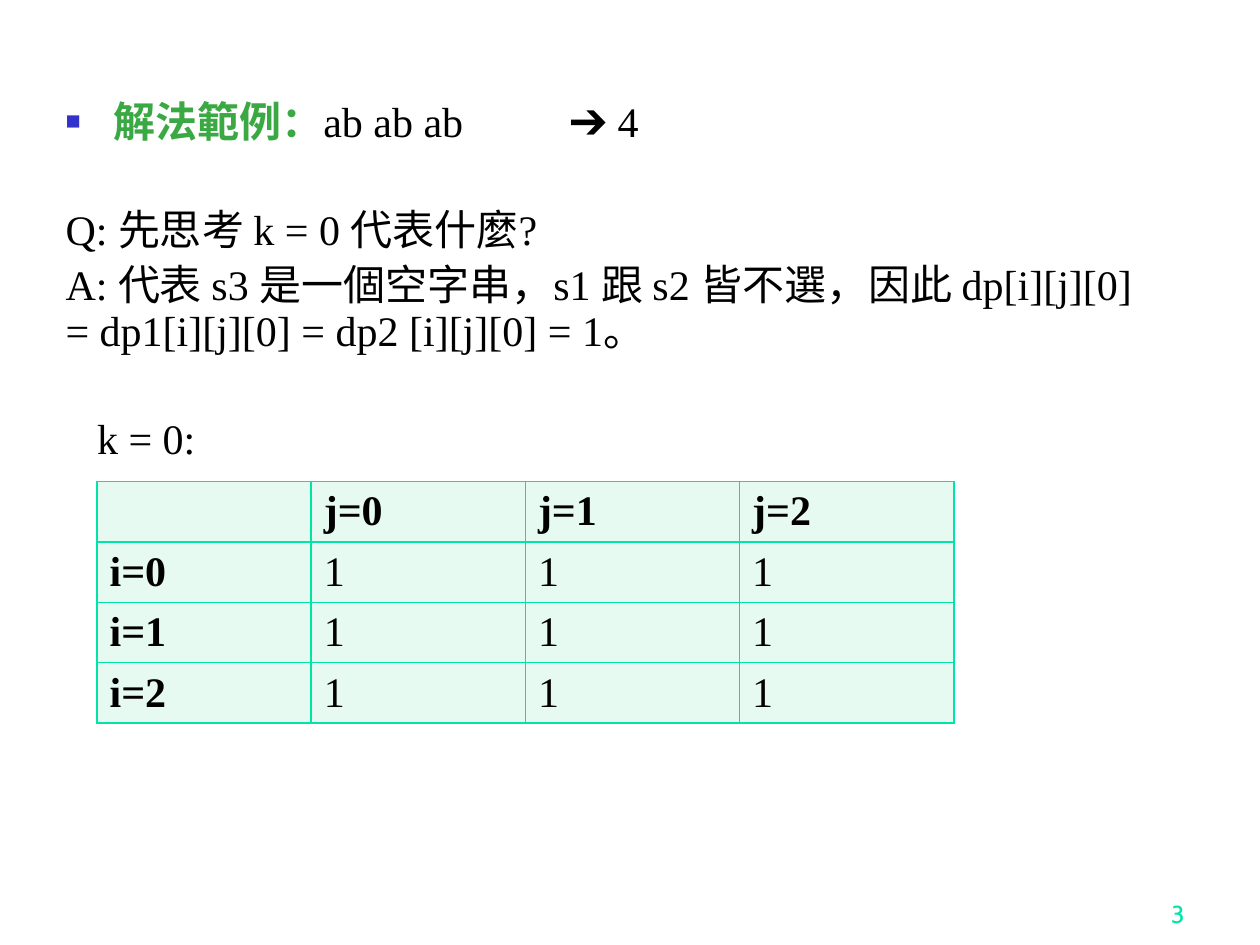
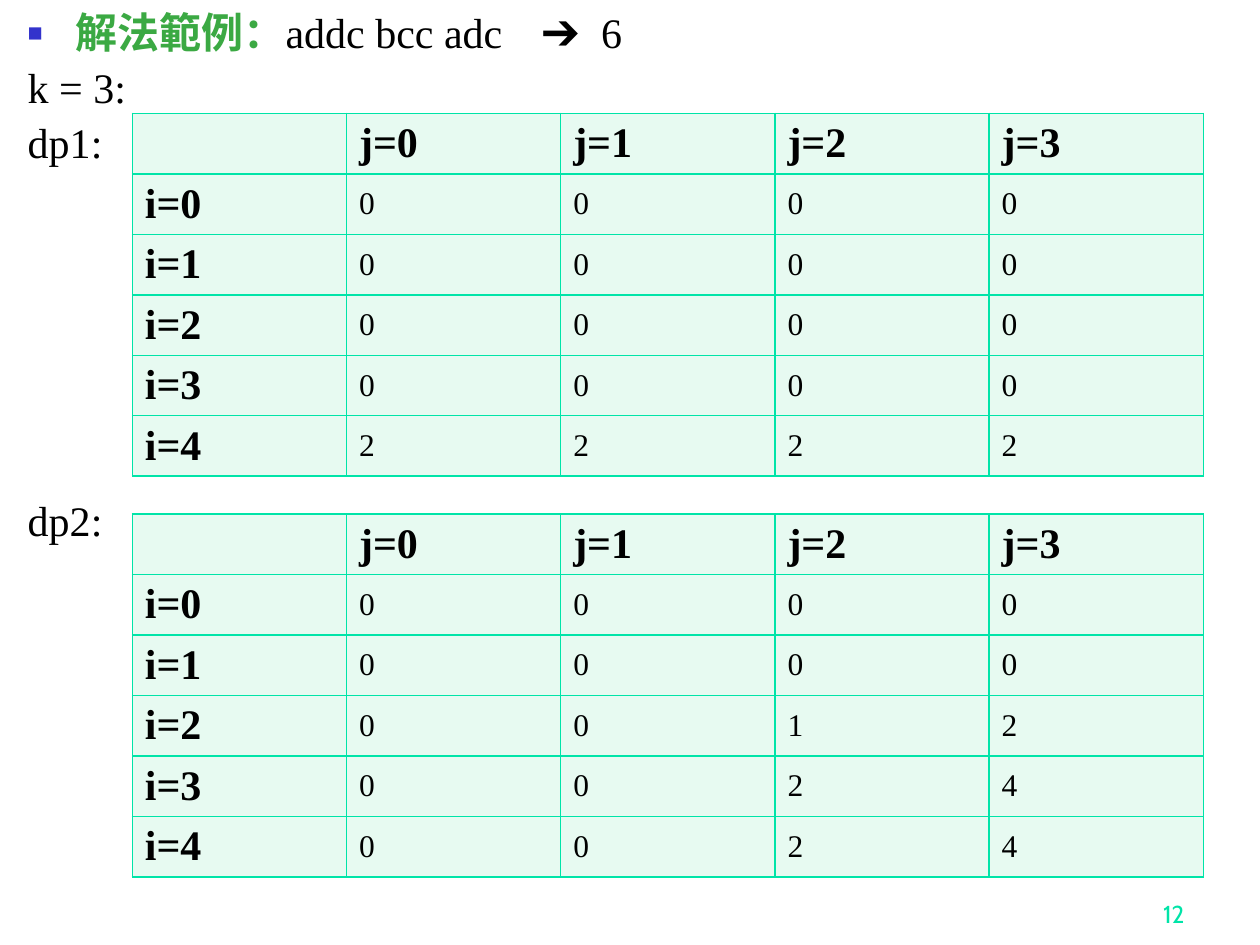
"""Two slides that trace a substring-counting dynamic program with tables."""
from lxml import etree
from pptx import Presentation
from pptx import util as u
from pptx.dml.color import RGBColor
from pptx.enum import text
from pptx.oxml import ns

INK = RGBColor(0x00, 0x00, 0x00)
GREEN = RGBColor(0x3B, 0xA9, 0x43)
MINT = RGBColor(0x00, 0xE4, 0xA8)
PALE = RGBColor(0xE7, 0xFA, 0xF1)
BLUE = RGBColor(0x33, 0x33, 0xCC)
SERIF = "Times New Roman"
GAP = 5.5
STEP = 30.7


def add_run(para, words, size=24, color=INK, bold=False, face=SERIF):
    run = para.add_run()
    run.text = words
    font = run.font
    font.size, font.name, font.bold = u.Pt(size), face, bold
    font.color.rgb = color


def add_tag(parent, tag, **attrs):
    return etree.SubElement(parent, ns.qn(tag), attrs)


pages = [
    dict(num="3", spot=(0.42, 0.75), tabs=[4], head="ab ab ab\t➔ 4",
         lines=[("Q: 先思考 k = 0 代表什麼?", 1, 0),
                ("A: 代表 s3 是一個空字串，s1 跟 s2 皆不選，因此 "
                 "dp[i][j][0] = dp1[i][j][0] = dp2 [i][j][0] = 1。", 0, 0),
                ("k = 0:", 1, 0.25)],
         grids=[(0.77, 3.82, 24, ["111", "111", "111"])]),
    dict(num="12", spot=(0.12, 0.05), tabs=[4.08, 4.55], head="addc bcc adc\t➔\t6",
         lines=[("k = 3:", 0, 0), ("dp1:", 0, 0), ("dp2:", 6, 0)],
         grids=[(1.05, 0.9, 18, ["0000", "0000", "0000", "0000", "2222"]),
                (1.05, 4.08, 18, ["0000", "0000", "0012", "0024", "0024"])]),
]

deck = Presentation()
deck.slide_width, deck.slide_height = u.Inches(10), u.Inches(7.5)

for page in pages:
    slide = deck.slides.add_slide(deck.slide_layouts[1])
    title = slide.shapes.title
    title.element.getparent().remove(title.element)

    box = slide.shapes.add_textbox(u.Inches(7.42), u.Inches(6.92), u.Inches(2.08), u.Inches(0.5))
    box.text_frame.word_wrap = True
    box.text_frame.vertical_anchor = text.MSO_ANCHOR.BOTTOM
    para = box.text_frame.paragraphs[0]
    para.alignment = text.PP_ALIGN.RIGHT
    add_run(para, page["num"], 14, MINT, face="Cabin")

    body = slide.placeholders[1]
    body.left, body.top = [u.Inches(n) for n in page["spot"]]
    body.width, body.height = u.Inches(8.83), u.Inches(6.15)
    frame = body.text_frame
    frame.auto_size = text.MSO_AUTO_SIZE.NONE
    frame.vertical_anchor = text.MSO_ANCHOR.TOP

    para = frame.paragraphs[0]
    para.line_spacing, para.space_before = 0.9, u.Pt(0)
    props = para._p.get_or_add_pPr()
    props.set("marL", str(u.Inches(0.38)))
    props.set("indent", str(u.Inches(-0.38)))
    add_tag(add_tag(props, "a:buClr"), "a:srgbClr", val=str(BLUE))
    add_tag(props, "a:buSzPct", val="60000")
    add_tag(props, "a:buFont", typeface="Arial")
    add_tag(props, "a:buChar", char="■")
    stops = add_tag(props, "a:tabLst")
    for stop in page["tabs"]:
        add_tag(stops, "a:tab", pos=str(u.Inches(stop)), algn="l")
    add_run(para, "解法範例：", color=GREEN, bold=True)
    add_run(para, page["head"])

    for words, skip, dent in page["lines"]:
        para = frame.add_paragraph()
        para.line_spacing, para.space_before = 0.9, u.Pt(GAP + skip * STEP)
        props = para._p.get_or_add_pPr()
        props.set("marL", str(u.Inches(dent)))
        props.set("indent", "0")
        add_tag(props, "a:buNone")
        add_run(para, words)

    for left, top, size, vals in page["grids"]:
        cols = len(vals[0])
        rows = [[""] + [f"j={j}" for j in range(cols)]]
        rows += [[f"i={i}", *val] for i, val in enumerate(vals)]
        table = slide.shapes.add_table(
            len(rows), cols + 1, u.Inches(left), u.Inches(top),
            u.Inches(1.7 * (cols + 1)), u.Inches(0.47 * len(rows))).table
        for r, row in enumerate(rows):
            table.rows[r].height = u.Inches(0.47)
            for c, words in enumerate(row):
                cell = table.cell(r, c)
                cell.margin_top = cell.margin_bottom = u.Inches(0.04)
                cell.vertical_anchor = text.MSO_ANCHOR.MIDDLE
                props = cell._tc.get_or_add_tcPr()
                for side in "LRTB":
                    edge = add_tag(props, f"a:ln{side}", w=str(u.Pt(1)))
                    add_tag(add_tag(edge, "a:solidFill"), "a:srgbClr", val=str(MINT))
                cell.fill.solid()
                cell.fill.fore_color.rgb = PALE
                lead = r == 0 or c == 0
                if words:
                    add_run(cell.text_frame.paragraphs[0], words, 24 if lead else size, bold=lead)

deck.save("out.pptx")
